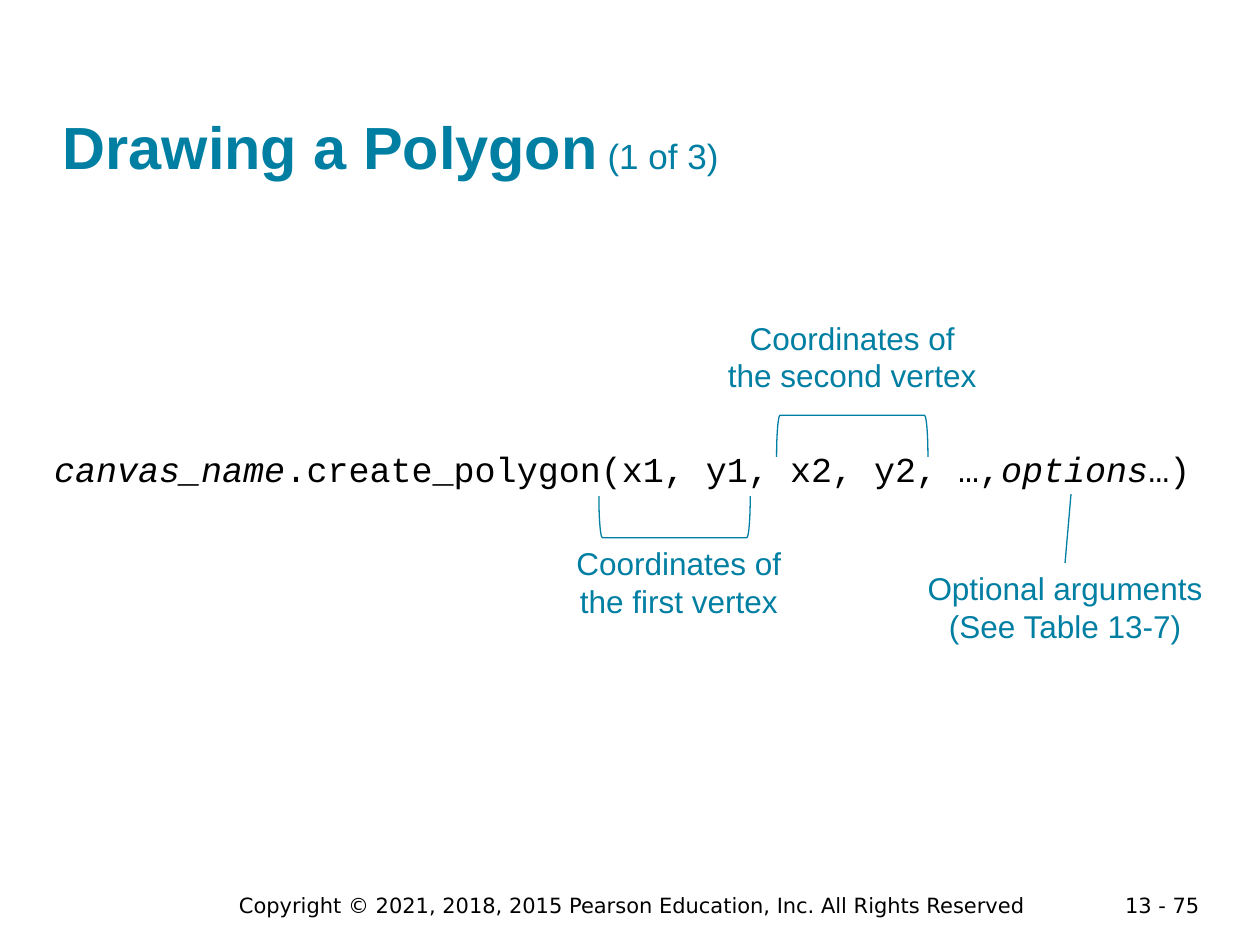
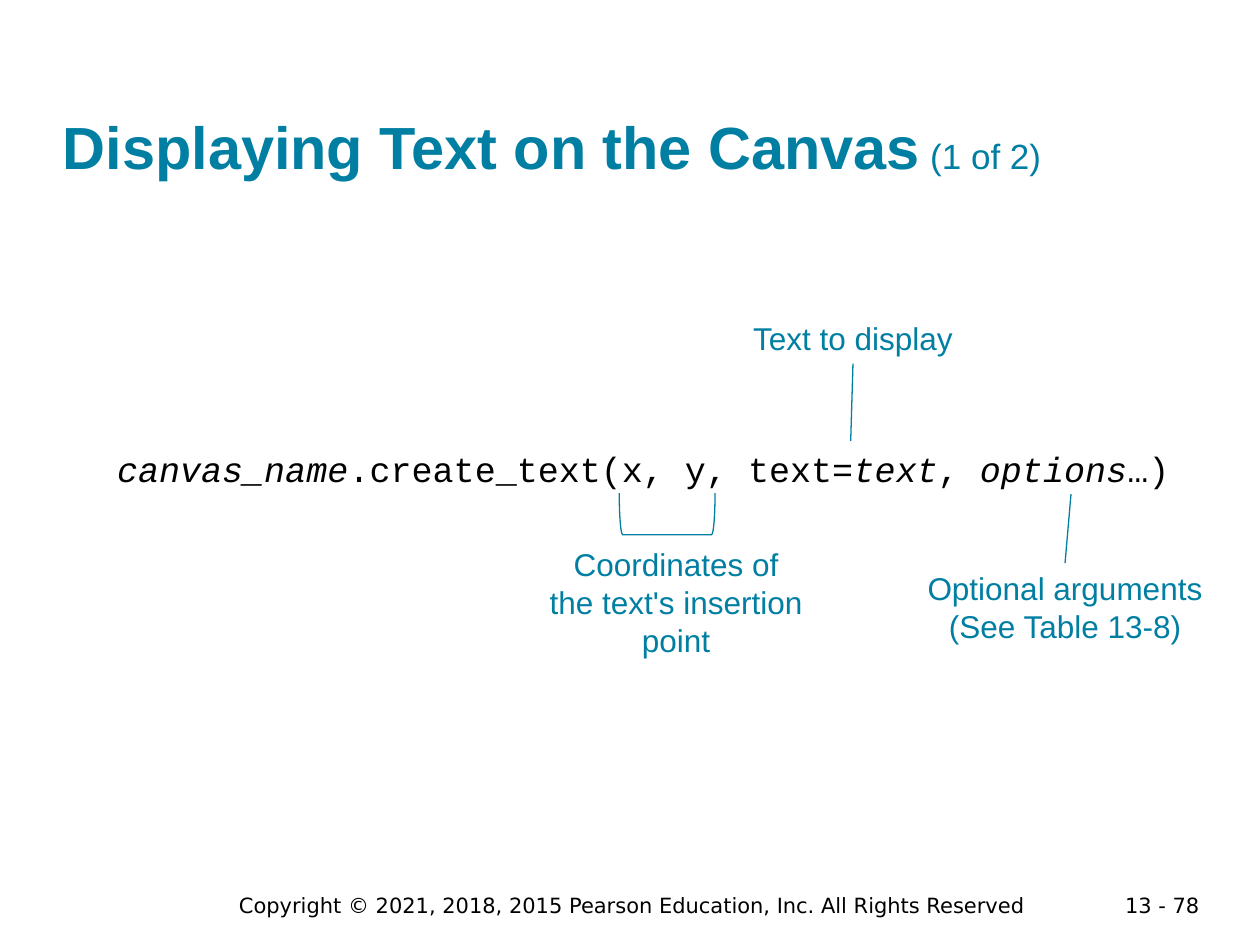
from lxml import etree
from pptx import Presentation
from pptx import util as u
from pptx.dml.color import RGBColor
from pptx.enum import shapes, text
from pptx.oxml.ns import qn

TEAL = RGBColor(0x00, 0x7F, 0xA3)
BLACK = RGBColor(0x00, 0x00, 0x00)
COPYRIGHT = "Copyright © 2021, 2018, 2015 Pearson Education, Inc. All Rights Reserved"

FOOTER = {"name": "DejaVu Sans", "size": u.Pt(12), "color": BLACK}
TITLE = {"name": "Arial", "size": u.Pt(34), "color": TEAL, "bold": True}
COUNT = {**TITLE, "size": u.Pt(20), "bold": False}
CODE = {"name": "Courier New", "size": u.Pt(20), "color": BLACK, "italic": False}
VARIABLE = {**CODE, "italic": True}
LABEL = {"name": "Arial", "size": u.Pt(18), "color": TEAL}

LEFT, CENTER, RIGHT = text.PP_ALIGN.LEFT, text.PP_ALIGN.CENTER, text.PP_ALIGN.RIGHT
TOP, BOTTOM = 0, 2
LINE_HEIGHT, LABEL_PADDING = 0.77, 0.26
BRACKET_DEPTH = 0.84


class Deck:
    def __init__(self):
        self.prs = Presentation()
        self.prs.slide_width = u.Cm(25.4)
        self.prs.slide_height = u.Cm(19.05)
        self.s = None

    def text(self, box, lines, align=LEFT, **frame):
        sp = self.s.shapes.add_textbox(*(u.Cm(v) for v in box))
        tf = sp.text_frame
        for key, value in {"word_wrap": True, **frame}.items():
            setattr(tf, key, value)
        for i, runs in enumerate(lines):
            p = tf.add_paragraph() if i else tf.paragraphs[0]
            p.alignment = align
            for words, style in runs:
                r = p.add_run()
                r.text = words
                for key, value in style.items():
                    if key == "color":
                        r.font.color.rgb = value
                    else:
                        setattr(r.font, key, value)
        return sp

    def slide(self, title, count, number):
        self.s = self.prs.slides.add_slide(self.prs.slide_layouts[6])
        self.text((21.89, 17.86, 2.54, 0.56), [[(number, FOOTER)]], RIGHT)
        self.text((4.17, 17.86, 17.15, 0.76), [[(COPYRIGHT, FOOTER)]], CENTER)
        margins = {f"margin_{side}": 0 for side in ("left", "top", "right", "bottom")}
        self.text((1.27, 0.61, 22.86, 3.05), [[(title, TITLE), (f" {count}", COUNT)]],
                  vertical_anchor=text.MSO_ANCHOR.BOTTOM, **margins)

    def code(self, *runs):
        self.text((0.84, 8.89, 23.93, 1.12), [runs])

    def label(self, x, y, w, *lines):
        h = LINE_HEIGHT * len(lines) + LABEL_PADDING
        return self.text((x, y, w, h), [[(line, LABEL)] for line in lines], CENTER,
                         word_wrap=False, auto_size=text.MSO_AUTO_SIZE.SHAPE_TO_FIT_TEXT)

    def stroke(self, sp):
        sp.line.color.rgb = TEAL
        sp.line.width = u.Pt(0.75)

    def bracket(self, cx, cy, span, rotation):
        sp = self.s.shapes.add_shape(
            shapes.MSO_SHAPE.LEFT_BRACKET, u.Cm(cx - BRACKET_DEPTH / 2),
            u.Cm(cy - span / 2), u.Cm(BRACKET_DEPTH), u.Cm(span))
        sp.rotation = rotation
        sp.shadow.inherit = False
        sp.fill.background()
        self.stroke(sp)

    def pointer(self, label, side, x, y):
        end = u.Cm(x), u.Cm(y)
        line = self.s.shapes.add_connector(shapes.MSO_CONNECTOR.STRAIGHT, *end, *end)
        line.begin_connect(label, side)
        self.stroke(line)
        etree.SubElement(line._element.spPr, qn("a:effectLst"))

    def options(self, table):
        label = self.label(18.42, 11.35, 6.1, "Optional arguments", f"(See {table})")
        self.pointer(label, TOP, 21.59, 9.96)


def main():
    deck = Deck()

    deck.slide("Drawing a Polygon", "(1 of 3)", "13 - 75")
    deck.code(("canvas_name", VARIABLE), (".create_polygon(x1, y1, x2, y2, …,", CODE),
              ("options", VARIABLE), ("…)", CODE))
    deck.bracket(13.6, 10.42, 3.05, 270)
    deck.label(11.35, 10.85, 4.67, "Coordinates of", "the first vertex")
    deck.label(14.4, 6.3, 5.56, "Coordinates of", "the second vertex")
    deck.bracket(17.18, 8.79, 3.05, 90)
    deck.options("Table 13-7")

    deck.slide("Displaying Text on the Canvas", "(1 of 2)", "13 - 78")
    deck.code(("   canvas_name", VARIABLE), (".create_text(x, y, text=", CODE),
              ("text", VARIABLE), (", ", CODE), ("options", VARIABLE), ("…)", CODE))
    deck.bracket(13.45, 10.36, 1.93, 270)
    deck.label(10.8, 10.87, 5.66, "Coordinates of", "the text's insertion", "point")
    display = deck.label(14.91, 6.3, 4.57, "Text to display")
    deck.options("Table 13-8")
    deck.pointer(display, BOTTOM, 17.15, 8.89)

    deck.prs.save("out.pptx")


if __name__ == "__main__":
    main()
